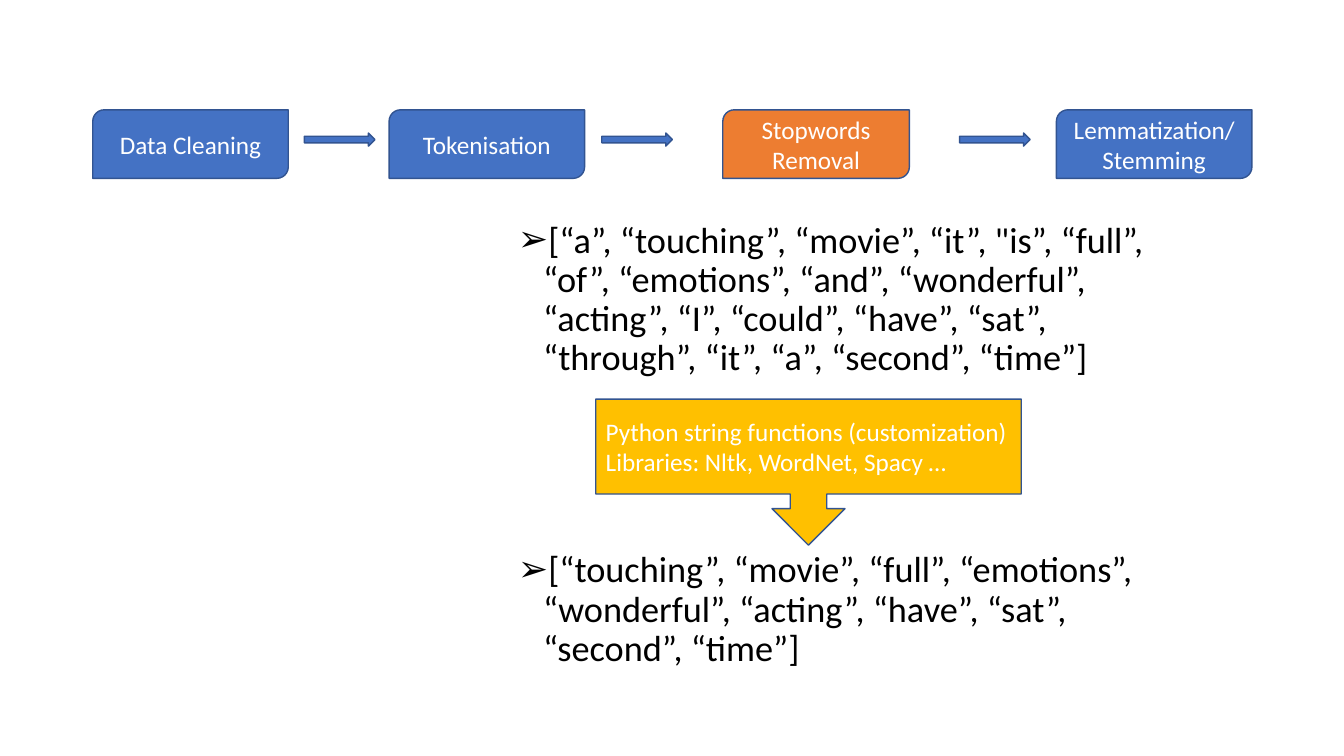
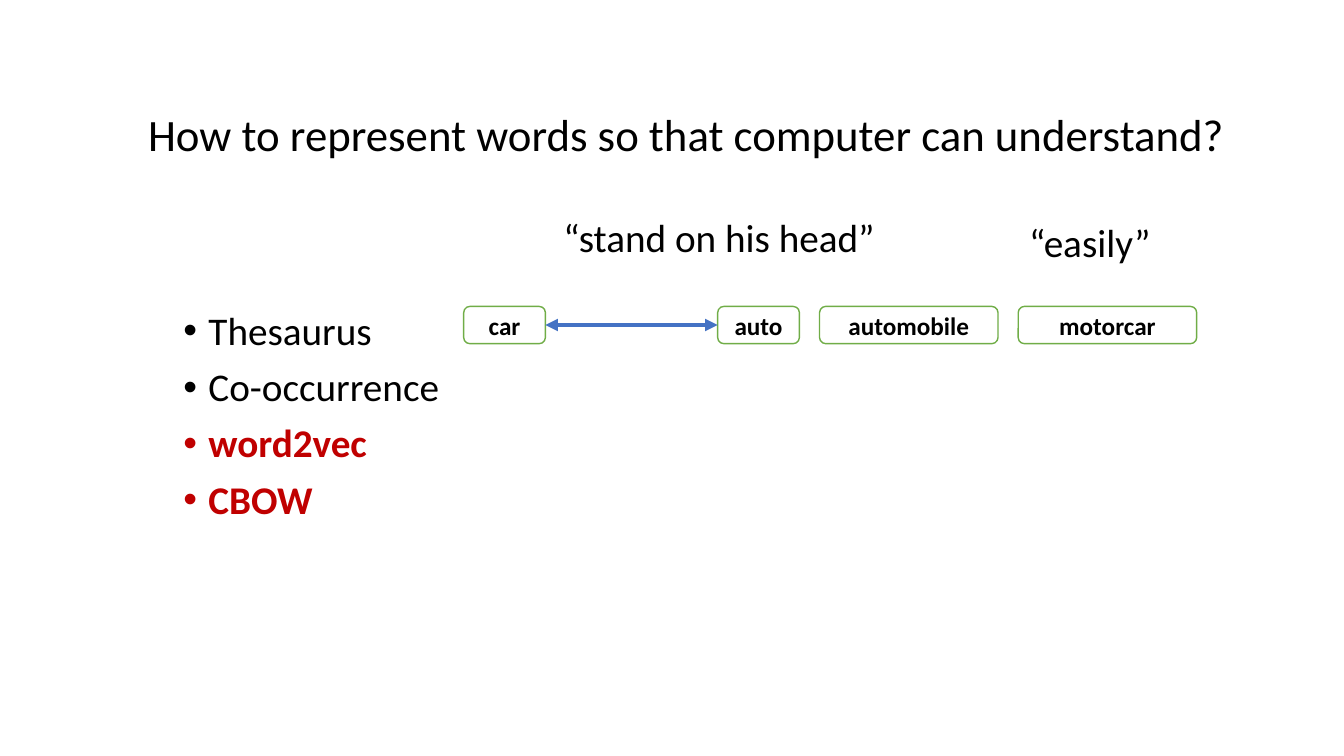
"""Build two slides on preparing and representing words."""
from dataclasses import dataclass
from itertools import accumulate

from pptx import Presentation
from pptx.dml.color import RGBColor
from pptx.enum.shapes import MSO_CONNECTOR, MSO_SHAPE
from pptx.enum.text import MSO_ANCHOR, PP_ALIGN
from pptx.oxml.xmlchemy import OxmlElement
from pptx.util import Inches, Pt

WIDE, HIGH = Inches(13.333), Inches(7.5)
FONT = "Calibri"
BLACK = RGBColor(0, 0, 0)
WHITE = RGBColor(255, 255, 255)
BLUE = RGBColor(0x44, 0x72, 0xC4)
NAVY = RGBColor(0x32, 0x54, 0x91)
ORANGE = RGBColor(0xED, 0x7D, 0x31)
GOLD = RGBColor(0xFF, 0xC0, 0x00)
GREEN = RGBColor(0x70, 0xAD, 0x47)
RED = RGBColor(0xC0, 0x00, 0x00)


@dataclass(frozen=True)
class Box:
    """Hold a frame in percent of the slide's width and height."""
    left: float
    top: float
    width: float
    height: float

    def frame(self) -> tuple[int, int, int, int]:
        """Return the frame in slide units."""
        return (int(WIDE * self.left / 100), int(HIGH * self.top / 100),
                int(WIDE * self.width / 100), int(HIGH * self.height / 100))


@dataclass(frozen=True)
class Step:
    """Hold one stage of the text pipeline."""
    text: str
    left: float
    width: float = 14.55
    fill: RGBColor = BLUE


@dataclass(frozen=True)
class Item:
    """Hold one line of a bullet list."""
    text: str
    color: RGBColor = BLACK
    bold: bool = False


STEPS = (
    Step("Data Cleaning", 6.9),
    Step("Tokenisation", 28.95),
    Step("Stopwords Removal", 53.78, 13.88, ORANGE),
    Step("Lemmatization/Stemming", 78.6),
)
ARROWS = (22.65, 44.78, 71.4)
TOKENS = (
    (Box(37.8, 28.67, 49.2, 22.7),
     "[“a”, “touching”, “movie”, “it”, \"is”, “full”, “of”, “emotions”, “and”, "
     "“wonderful”, “acting”, “I”, “could”, “have”, “sat”, “through”, “it”, “a”, "
     "“second”, “time”]"),
    (Box(37.8, 72.3, 49.2, 18.7),
     "[“touching”, “movie”, “full”, “emotions”, “wonderful”, “acting”, “have”, "
     "“sat”, “second”, “time”]"),
)
TOOLS = ("Python string functions (customization)",
         "Libraries: Nltk, WordNet, Spacy …")
TOPICS = (Item("Thesaurus"), Item("Co-occurrence"),
          Item("word2vec", RED, True), Item("CBOW", RED, True))
WORDS = (("car", 6.08), ("auto", 6.08), ("automobile", 13.28), ("motorcar", 13.28))
GAP, REACH = 1.5, 12.82
ROW = 40.53


def mark(para, sign: str) -> None:
    """Give a paragraph a hanging bullet."""
    props = para._p.get_or_add_pPr()
    props.set("marL", str(Inches(0.25)))
    props.set("indent", str(-Inches(0.25)))
    face = OxmlElement("a:buFont")
    face.set("typeface", "Arial")
    char = OxmlElement("a:buChar")
    char.set("char", sign)
    props.extend((face, char))


def write(shape, *items: Item, size: float = 18, align=PP_ALIGN.LEFT,
          anchor=MSO_ANCHOR.TOP, sign: str = "", space: float | None = None,
          wrap: bool = True) -> None:
    """Fill a shape with formatted paragraphs."""
    frame = shape.text_frame
    frame.word_wrap = wrap
    frame.vertical_anchor = anchor
    for rank, item in enumerate(items):
        para = frame.add_paragraph() if rank else frame.paragraphs[0]
        para.alignment = align
        if space:
            para.line_spacing = space
        if rank and sign:
            para.space_before = Pt(10)
        if sign:
            mark(para, sign)
        run = para.add_run()
        run.text = item.text
        run.font.name, run.font.size = FONT, Pt(size)
        run.font.bold, run.font.color.rgb = item.bold, item.color


def label(slide, box: Box, *items: Item, **style) -> None:
    """Add a text box."""
    write(slide.shapes.add_textbox(*box.frame()), *items, **style)


def block(slide, kind, box: Box, fill: RGBColor, line: RGBColor = NAVY):
    """Add a filled and outlined shape."""
    shape = slide.shapes.add_shape(kind, *box.frame())
    shape.shadow.inherit = False
    shape.fill.solid()
    shape.fill.fore_color.rgb = fill
    shape.line.color.rgb = line
    shape.line.width = Pt(1)
    return shape


def link(slide, start, end) -> None:
    """Join two shapes with a double arrow."""
    line = slide.shapes.add_connector(MSO_CONNECTOR.STRAIGHT, 0, 0, 0, 0)
    line.begin_connect(start, 3)
    line.end_connect(end, 1)
    line.line.color.rgb = BLUE
    line.line.width = Pt(3)
    for tag in ("a:headEnd", "a:tailEnd"):
        tip = OxmlElement(tag)
        tip.set("type", "triangle")
        line.line._get_or_add_ln().append(tip)
    line._element.spPr.append(OxmlElement("a:effectLst"))


def flow(slide) -> None:
    """Draw the stopword removal slide."""
    for box, text in TOKENS:
        label(slide, box, Item(text), size=25.9, sign="➢", space=0.9)
    for step in STEPS:
        shape = block(slide, MSO_SHAPE.ROUND_2_DIAG_RECTANGLE,
                      Box(step.left, 14.53, step.width, 9.07), step.fill)
        write(shape, Item(step.text, WHITE), align=PP_ALIGN.CENTER,
              anchor=MSO_ANCHOR.MIDDLE)
    for left in ARROWS:
        block(slide, MSO_SHAPE.RIGHT_ARROW, Box(left, 17.6, 5.25, 1.73), BLUE)
    call = block(slide, MSO_SHAPE.DOWN_ARROW_CALLOUT,
                 Box(44.33, 52.8, 31.65, 19.33), GOLD)
    write(call, *(Item(text, WHITE) for text in TOOLS), anchor=MSO_ANCHOR.MIDDLE)


def words(slide) -> None:
    """Draw the word representation slide."""
    label(slide, Box(10.28, 10.8, 86.25, 14.67),
          Item("How to represent words so that computer can understand?"),
          size=32, anchor=MSO_ANCHOR.MIDDLE, space=0.9)
    label(slide, Box(41.18, 28.27, 27.9, 7.6), Item("“stand on his head”"),
          size=28, space=0.9)
    label(slide, Box(75.83, 28.27, 10.65, 7.6), Item("“easily”"),
          size=28, wrap=False)
    label(slide, Box(12.9, ROW, 25.6, 37.47), *TOPICS,
          size=28, sign="•", space=0.9)
    steps = (width + (GAP if rank else REACH)
             for rank, (_, width) in enumerate(WORDS))
    chips = []
    for (text, width), left in zip(WORDS, accumulate(steps, initial=34.5)):
        chip = block(slide, MSO_SHAPE.ROUNDED_RECTANGLE,
                     Box(left, ROW, width, 4.93), WHITE, GREEN)
        write(chip, Item(text, bold=True), align=PP_ALIGN.CENTER,
              anchor=MSO_ANCHOR.MIDDLE)
        chips.append(chip)
    link(slide, chips[0], chips[1])


def main() -> None:
    """Build and save the deck."""
    deck = Presentation()
    deck.slide_width, deck.slide_height = WIDE, HIGH
    for draw in (flow, words):
        draw(deck.slides.add_slide(deck.slide_layouts[6]))
    deck.save("out.pptx")


if __name__ == "__main__":
    main()
